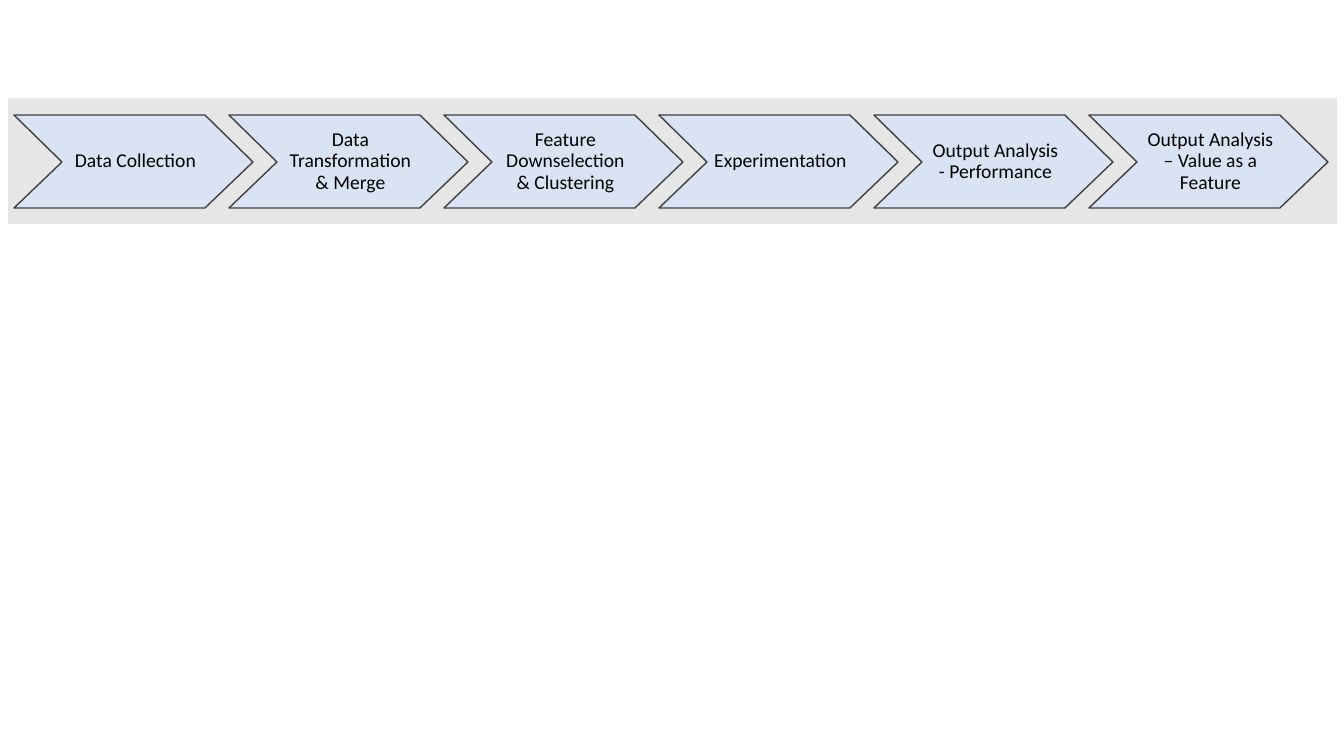
import pptx
import pptx.dml.color
import pptx.enum.shapes
import pptx.enum.text
import pptx.util

EMU_PER_PX = 914400 / 100.8
COLOURS = {"band": "E7E6E6", "step": "DAE3F3", "outline": "404040", "text": "000000"}
STEPS = [
    "Data Collection",
    "Data Transformation & Merge",
    "Feature Downselection & Clustering",
    "Experimentation",
    "Output Analysis - Performance",
    "Output Analysis – Value as a Feature",
]


def px(length):
    return pptx.util.Emu(round(length * EMU_PER_PX))


def colour(name):
    return pptx.dml.color.RGBColor.from_string(COLOURS[name])


def write_text(frame, text, *, font, size, ink, spacing, insets):
    frame.word_wrap = True
    frame.vertical_anchor = pptx.enum.text.MSO_ANCHOR.MIDDLE
    frame.margin_left, frame.margin_top, frame.margin_right, frame.margin_bottom = map(px, insets)
    para = frame.paragraphs[0]
    para.alignment = pptx.enum.text.PP_ALIGN.CENTER
    para.line_spacing = spacing
    span = para.add_run()
    span.text = text
    span.font.name = font
    span.font.size = pptx.util.Pt(size)
    span.font.color.rgb = colour(ink)


class ProcessSlide:
    """Draws a process band and its chevron steps on one page."""

    font = "Calibri"
    size = 14

    def __init__(self, page):
        self.page = page

    def paint(self, box, fill, outline=None):
        box.shadow.inherit = False
        box.fill.solid()
        box.fill.fore_color.rgb = colour(fill)
        if outline:
            box.line.color.rgb = colour(outline)
            box.line.width = pptx.util.Pt(1)
        else:
            box.line.fill.background()

    def band(self, left, top, width, height):
        rectangle = pptx.enum.shapes.MSO_SHAPE.RECTANGLE
        box = self.page.shapes.add_shape(rectangle, px(left), px(top), px(width), px(height))
        self.paint(box, "band")

    def chevron(self, text, left, top, width, height, notch):
        right, middle, bottom = left + width, top + height / 2, top + height
        outline = self.page.shapes.build_freeform(left, top, scale=EMU_PER_PX)
        outline.add_line_segments([
            (right - notch, top),
            (right, middle),
            (right - notch, bottom),
            (left, bottom),
            (left + notch, middle),
        ], close=True)
        box = outline.convert_to_shape()
        self.paint(box, "step", "outline")
        write_text(box.text_frame, text, font=self.font, size=self.size,
                   ink="text", spacing=0.9, insets=(54, 2, 50, 2))


def main():
    deck = pptx.Presentation()
    deck.slide_width, deck.slide_height = px(1344), px(756)
    slide = ProcessSlide(deck.slides.add_slide(deck.slide_layouts[6]))
    slide.band(8, 98, 1329, 126)
    for index, step in enumerate(STEPS):
        slide.chevron(step, 14 + 215 * index, 115, 239, 93, 48)
    deck.save("out.pptx")


if __name__ == "__main__":
    main()
